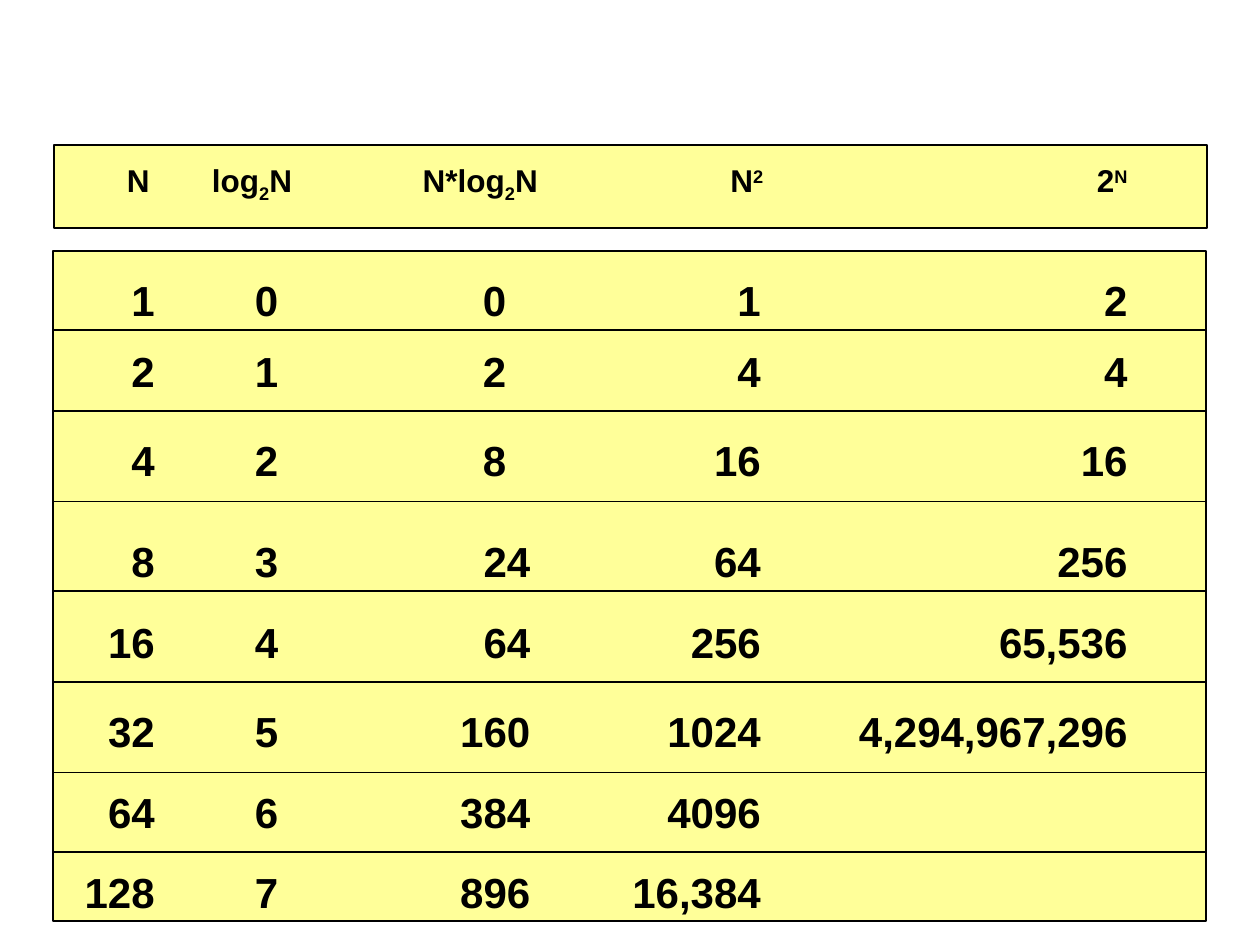
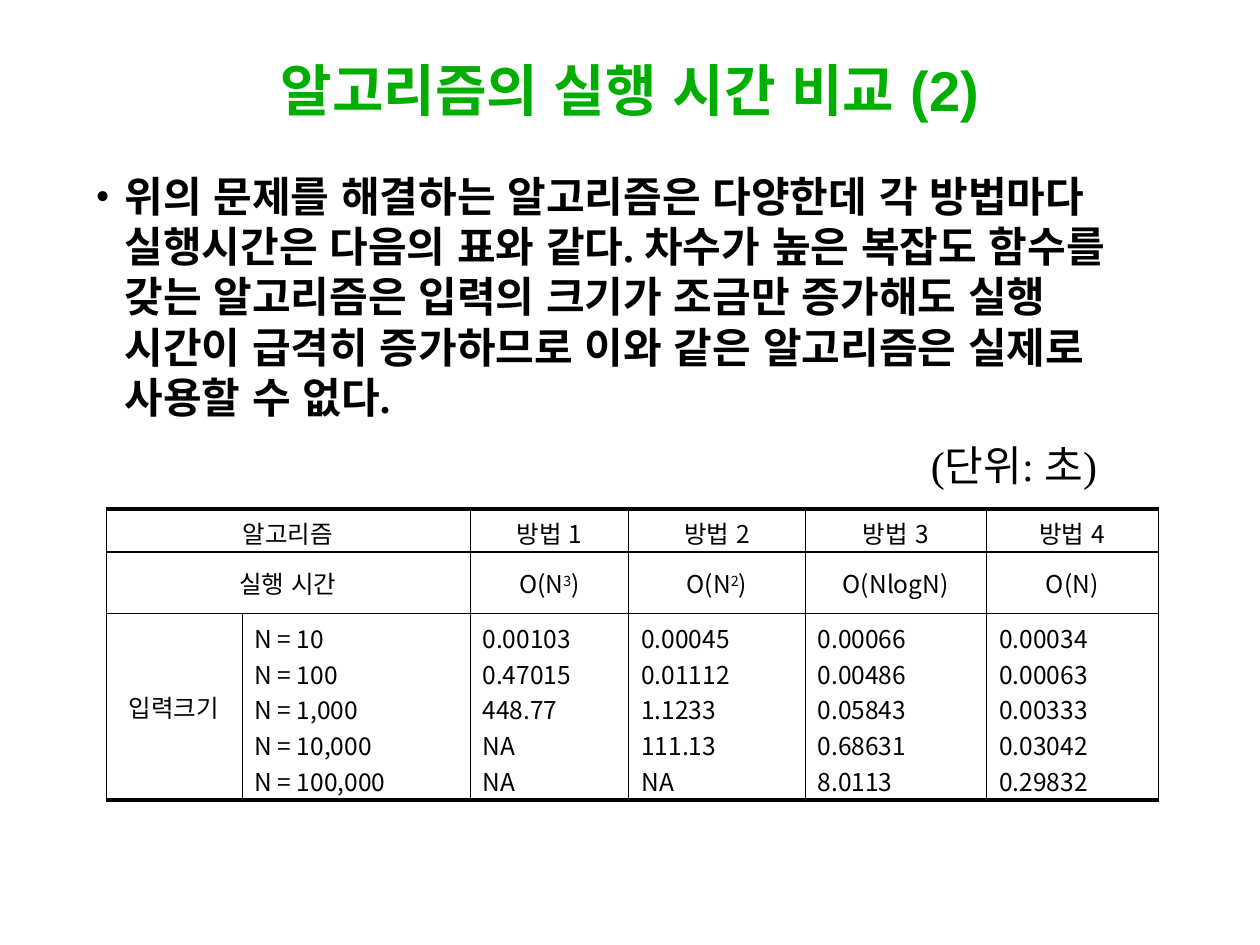
from lxml import etree
from pptx import Presentation
from pptx import util as u
from pptx.dml.color import RGBColor
from pptx.enum import shapes, text
from pptx.oxml import ns

BLACK, YELLOW, GREEN = "000000", "FFFF99", "00AE00"
KOREAN = "Noto Sans CJK KR"
HEADING = {"name": "Arial", "size": u.Pt(18), "bold": True}
FIGURE = {"name": "Arial", "size": u.Pt(24), "bold": True}
TITLE = {"name": "Arial", "size": u.Pt(32), "bold": True}
BODY = {"name": "Times New Roman", "size": u.Pt(24), "bold": True}
UNIT = {"name": "Times New Roman", "size": u.Pt(24), "bold": False}
CELL = {"name": KOREAN, "size": u.Pt(14), "bold": False}
CENTER, MIDDLE = text.PP_ALIGN.CENTER, text.MSO_ANCHOR.MIDDLE
SUB, SUPER = -25000, 30000

GROWTH_ROWS = [  # top of the text, then N, log N, N log N, N squared, 2 to the N
    (2.13, "1", "0", "0", "1", "2"),
    (2.69, "2", "1", "2", "4", "4"),
    (3.4, "4", "2", "8", "16", "16"),
    (4.2, "8", "3", "24", "64", "256"),
    (4.84, "16", "4", "64", "256", "65,536"),
    (5.55, "32", "5", "160", "1024", "4,294,967,296"),
    (6.19, "64", "6", "384", "4096"),
    (6.83, "128", "7", "896", "16,384"),
]
RULES = [2.62, 3.26, 3.98, 4.69, 5.41, 6.13, 6.76]
TIMES = [
    ["알고리즘", None, "방법 1", "방법 2", "방법 3", "방법 4"],
    ["실행 시간", None, [("O(N", 0), ("3", SUPER), (")", 0)],
     [("O(N", 0), ("2", SUPER), (")", 0)], "O(NlogN)", "O(N)"],
    ["입력크기",
     "N = 10\nN = 100\nN = 1,000\nN = 10,000\nN = 100,000",
     "0.00103\n0.47015\n448.77\nNA\nNA",
     "0.00045\n0.01112\n1.1233\n111.13\nNA",
     "0.00066\n0.00486\n0.05843\n0.68631\n8.0113",
     "0.00034\n0.00063\n0.00333\n0.03042\n0.29832"],
]


def color(value):
    return RGBColor.from_string(value)


def add_element(parent, tag, **attributes):
    return etree.SubElement(parent, ns.qn(tag), attributes)


def add_span(para, words, style, baseline=0, ink=BLACK):
    span = para.add_run()
    span.text = words
    for key, value in style.items():
        setattr(span.font, key, value)
    span.font.color.rgb = color(ink)
    properties = span._r.get_or_add_rPr()
    properties.set("lang", "ko-KR")
    if baseline:
        properties.set("baseline", str(baseline))
    add_element(properties, "a:ea", typeface=KOREAN)


def write(frame, content, style, align=None, ink=BLACK):
    """Write a string, one paragraph a line, or a list of (words, baseline)."""
    lines = content.split("\n") if isinstance(content, str) else [content]
    for number, line in enumerate(lines):
        para = frame.add_paragraph() if number else frame.paragraphs[0]
        para.alignment = align
        for words, baseline in [(line, 0)] if isinstance(line, str) else line:
            add_span(para, words, style, baseline, ink)


def add_text(page, at, content, style, align=None, anchor=None, ink=BLACK, wrap=True):
    box = page.shapes.add_textbox(*map(u.Inches, at))
    frame = box.text_frame
    frame.word_wrap = wrap
    frame.vertical_anchor = anchor
    write(frame, content, style, align, ink)
    return frame.paragraphs[0]


def set_right_tabs(para, left, edges):
    """Right-align each tabbed entry at an edge measured from the slide's left."""
    tabs = add_element(para._p.get_or_add_pPr(), "a:tabLst")
    for edge in edges:
        add_element(tabs, "a:tab", pos=str(u.Inches(edge - left - 0.1)), algn="r")


def add_panel(page, *at):
    panel = page.shapes.add_shape(shapes.MSO_SHAPE.RECTANGLE, *map(u.Inches, at))
    panel.shadow.inherit = False
    panel.fill.solid()
    panel.fill.fore_color.rgb = color(YELLOW)
    panel.line.color.rgb = color(BLACK)
    panel.line.width = u.Pt(1)


def add_rule(page, top):
    ends = map(u.Inches, (0.42, top, 9.58, top))
    rule = page.shapes.add_connector(shapes.MSO_CONNECTOR.STRAIGHT, *ends)
    rule.line.color.rgb = color(BLACK)
    rule.line.width = u.Pt(1)
    add_element(rule._element.spPr, "a:effectLst")


def set_borders(cell, widths):
    """Draw left, right, top and bottom borders of the given point widths."""
    properties = cell._tc.get_or_add_tcPr()
    for place, (side, width) in enumerate(zip("LRTB", widths)):
        line = add_element(properties, f"a:ln{side}", w=str(u.Pt(width)))
        add_element(add_element(line, "a:solidFill"), "a:srgbClr", val=BLACK)
        properties.insert(place, line)


def add_times_table(page):
    at = map(u.Inches, (0.84, 4.04, 8.35, 2.31))
    table = page.shapes.add_table(3, 6, *at).table
    table.first_row = table.horz_banding = False
    for column, width in zip(table.columns, (1.08, 1.81, 1.26, 1.4, 1.44, 1.36)):
        column.width = u.Inches(width)
    for row, height in zip(table.rows, (0.34, 0.49, 1.48)):
        row.height = u.Inches(height)
    for row in range(2):
        table.cell(row, 0).merge(table.cell(row, 1))
    levels = (2.5, 0.96, 0.96, 2.5)
    for row, contents in enumerate(TIMES):
        for column, content in enumerate(contents):
            cell = table.cell(row, column)
            cell.fill.background()
            set_borders(cell, (0.45, 0.45, levels[row], levels[row + 1]))
            if content:
                centered = row < 2 or column == 0
                cell.vertical_anchor = MIDDLE if centered else text.MSO_ANCHOR.TOP
                write(cell.text_frame, content, CELL, CENTER if centered else None)


def build_growth_page(page):
    add_panel(page, 0.43, 1.15, 9.15, 0.66)
    headings = [("\tN\tlog", 0), ("2", SUB), ("N\tN*log", 0), ("2", SUB),
                ("N\tN", 0), ("2", SUPER), ("\t2", 0), ("N", SUPER)]
    para = add_text(page, (0.5, 1, 9.08, 0.67), headings, HEADING,
                    anchor=text.MSO_ANCHOR.BOTTOM)
    set_right_tabs(para, 0.5, (1.19, 2.32, 4.27, 6.06, 8.95))

    add_panel(page, 0.42, 1.99, 9.15, 5.32)
    for top in RULES:
        add_rule(page, top)
    for top, *figures in GROWTH_ROWS:
        para = add_text(page, (0.57, top, 8.52, 0.5), "\t" + "\t".join(figures), FIGURE)
        product_edge = 4.02 if len(figures[2]) == 1 else 4.21
        set_right_tabs(para, 0.57, (1.23, 2.21, product_edge, 6.04, 8.95))


def build_times_page(page):
    add_text(page, (0.75, 0.33, 8.5, 0.75), "알고리즘의 실행 시간 비교 (2)", TITLE,
             CENTER, MIDDLE, GREEN)
    add_times_table(page)
    para = add_text(
        page, (0.66, 1.31, 8.74, 2.1),
        "위의 문제를 해결하는 알고리즘은 다양한데 각 방법마다 실행시간은 다음의 표와 같다. "
        "차수가 높은 복잡도 함수를 갖는 알고리즘은 입력의 크기가 조금만 증가해도 "
        "실행 시간이 급격히 증가하므로 이와 같은 알고리즘은 실제로 사용할 수 없다.", BODY)
    para.space_before = u.Pt(6)
    para.line_spacing = u.Pt(28.6)
    properties = para._p.get_or_add_pPr()
    for key, inches in {"marL": 0.23, "indent": -0.23}.items():
        properties.set(key, str(u.Inches(inches)))
    add_element(properties, "a:buFont", typeface="Times New Roman")
    add_element(properties, "a:buChar", char="•")
    unit = add_text(page, (7.29, 3.44, 1.84, 0.5), "(단위: 초)", UNIT, wrap=False)
    unit.line_spacing = u.Pt(28.6)


def main():
    deck = Presentation()
    deck.slide_width, deck.slide_height = u.Inches(10), u.Inches(7.5)
    for build in (build_growth_page, build_times_page):
        build(deck.slides.add_slide(deck.slide_layouts[6]))
    deck.save("out.pptx")


if __name__ == "__main__":
    main()
